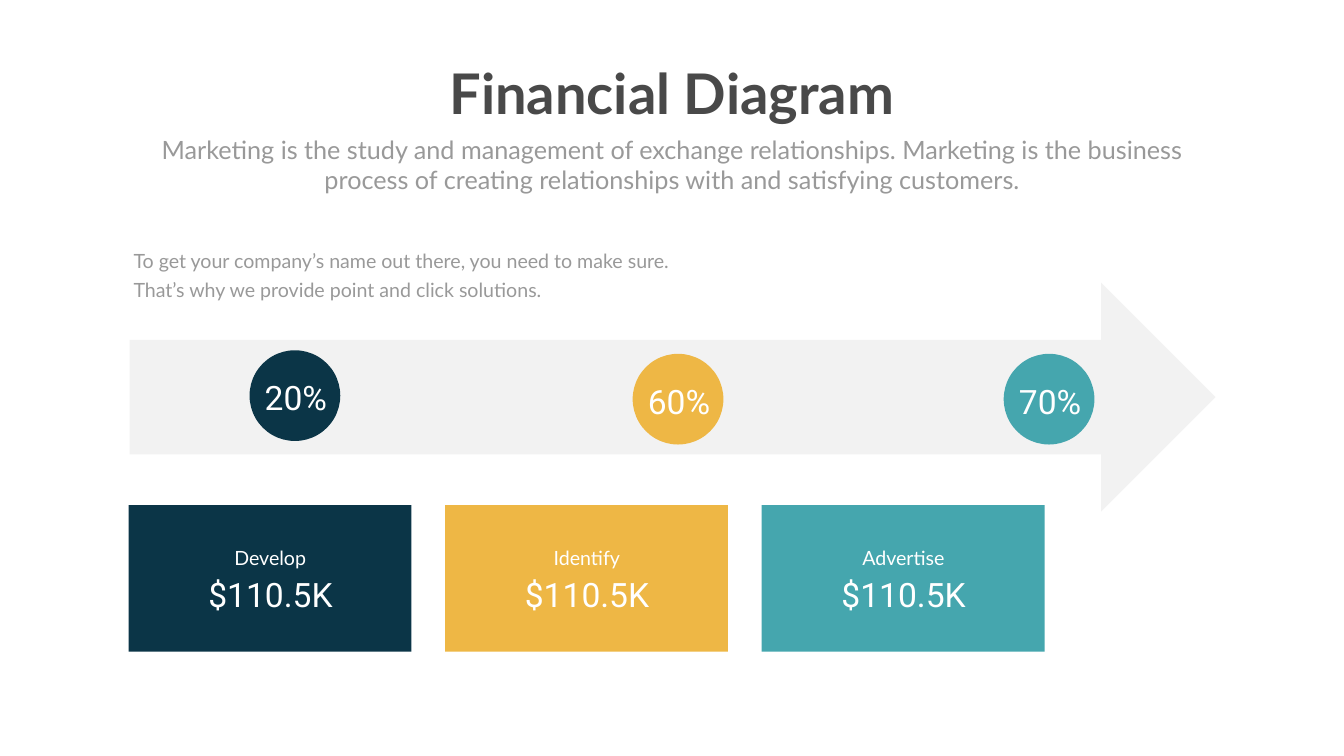
"""Build the Financial Diagram slide: heading, arrow with three marks, three cards."""
from dataclasses import dataclass

from lxml import etree
from pptx import Presentation
from pptx.dml.color import RGBColor
from pptx.enum.shapes import MSO_SHAPE
from pptx.enum.text import MSO_AUTO_SIZE, PP_ALIGN
from pptx.oxml.ns import qn
from pptx.util import Pt

ARROW, OVAL, RECT = MSO_SHAPE.RIGHT_ARROW, MSO_SHAPE.OVAL, MSO_SHAPE.RECTANGLE
LEFT, MID = PP_ALIGN.LEFT, PP_ALIGN.CENTER
GROW = MSO_AUTO_SIZE.SHAPE_TO_FIT_TEXT
SCALE = 9144


@dataclass(frozen=True)
class Theme:
    navy: str = "0B3547"
    gold: str = "EEB745"
    teal: str = "45A6AE"
    gray: str = "808080"
    dark: str = "494949"
    soft: str = "999999"
    white: str = "FFFFFF"
    text: str = "Lato"
    digit: str = "Roboto"
    title: int = 80
    lead: int = 36
    body: int = 28
    value: int = 48
    line: float = 40.8


T = Theme()
TITLE = "Financial Diagram"
LEAD = ("Marketing is the study and management of exchange relationships. "
        "Marketing is the business process of creating relationships "
        "with and satisfying customers.")
NOTE = ("To get your company’s name out there, you need to make sure. "
        "That’s why we provide point and click solutions.")
MARKS = [("20%", 495, 695, T.navy), ("60%", 1255, 702, T.gold), ("70%", 1991, 702, T.teal)]
CARDS = [("Develop", "$110.5K", T.navy), ("Identify", "$110.5K", T.gold),
         ("Advertise", "$110.5K", T.teal)]
DOT = 180
CARD_X, CARD_Y, CARD_W, CARD_H, PITCH = 255, 1002, 561, 291, 628


def emu(*box):
    return [n * SCALE for n in box]


def add_form(group, kind, box, color, alpha=None):
    form = group.shapes.add_shape(kind, *emu(*box))
    form.shadow.inherit = False
    form.fill.solid()
    form.fill.fore_color.rgb = RGBColor.from_string(color)
    form.line.fill.background()
    if alpha:
        tint = form.fill._xPr.find(".//" + qn("a:srgbClr"))
        etree.SubElement(tint, qn("a:alpha")).set("val", str(alpha * 1000))


def add_text(group, box, text, size, color, font=T.text, align=MID,
             line=None, bold=False, wrap=True):
    frame = group.shapes.add_textbox(*emu(*box)).text_frame
    frame.word_wrap = wrap
    frame.auto_size = GROW
    para = frame.paragraphs[0]
    para.alignment = align
    if line:
        para.line_spacing = Pt(line)
    run = para.add_run()
    run.text = text
    run.font.name = font
    run.font.size = Pt(size)
    run.font.bold = bold
    run.font.color.rgb = RGBColor.from_string(color)


def add_flow(slide):
    group = slide.shapes.add_group_shape()
    add_form(group, ARROW, (257, 561, 2154, 454), T.gray, alpha=10)
    for label, x, y, color in MARKS:
        add_form(group, OVAL, (x, y, DOT, DOT), color)
        add_text(group, (x + 2, y + 48, DOT, 91), label, T.value, T.white, T.digit)


def add_cards(slide):
    group = slide.shapes.add_group_shape()
    for i, (name, value, color) in enumerate(CARDS):
        x = CARD_X + i * PITCH
        add_form(group, RECT, (x, CARD_Y, CARD_W, CARD_H), color)
        add_text(group, (x + 177, CARD_Y + 67, 208, 62), name, T.body, T.white, line=T.line)
        add_text(group, (x + 145, CARD_Y + 132, 273, 90), value, T.value, T.white, T.digit)


def add_head(slide):
    group = slide.shapes.add_group_shape()
    add_text(group, (871, 112, 924, 145), TITLE, T.title, T.dark, bold=True, wrap=False)
    add_text(group, (292, 261, 2082, 131), LEAD, T.lead, T.soft)


def main():
    deck = Presentation()
    deck.slide_width, deck.slide_height = emu(2666, 1500)
    slide = deck.slides.add_slide(deck.slide_layouts[6])
    add_flow(slide)
    add_cards(slide)
    add_text(slide, (255, 479, 1119, 119), NOTE, T.body, T.soft, align=LEFT, line=T.line)
    add_head(slide)
    deck.save("out.pptx")


if __name__ == "__main__":
    main()
